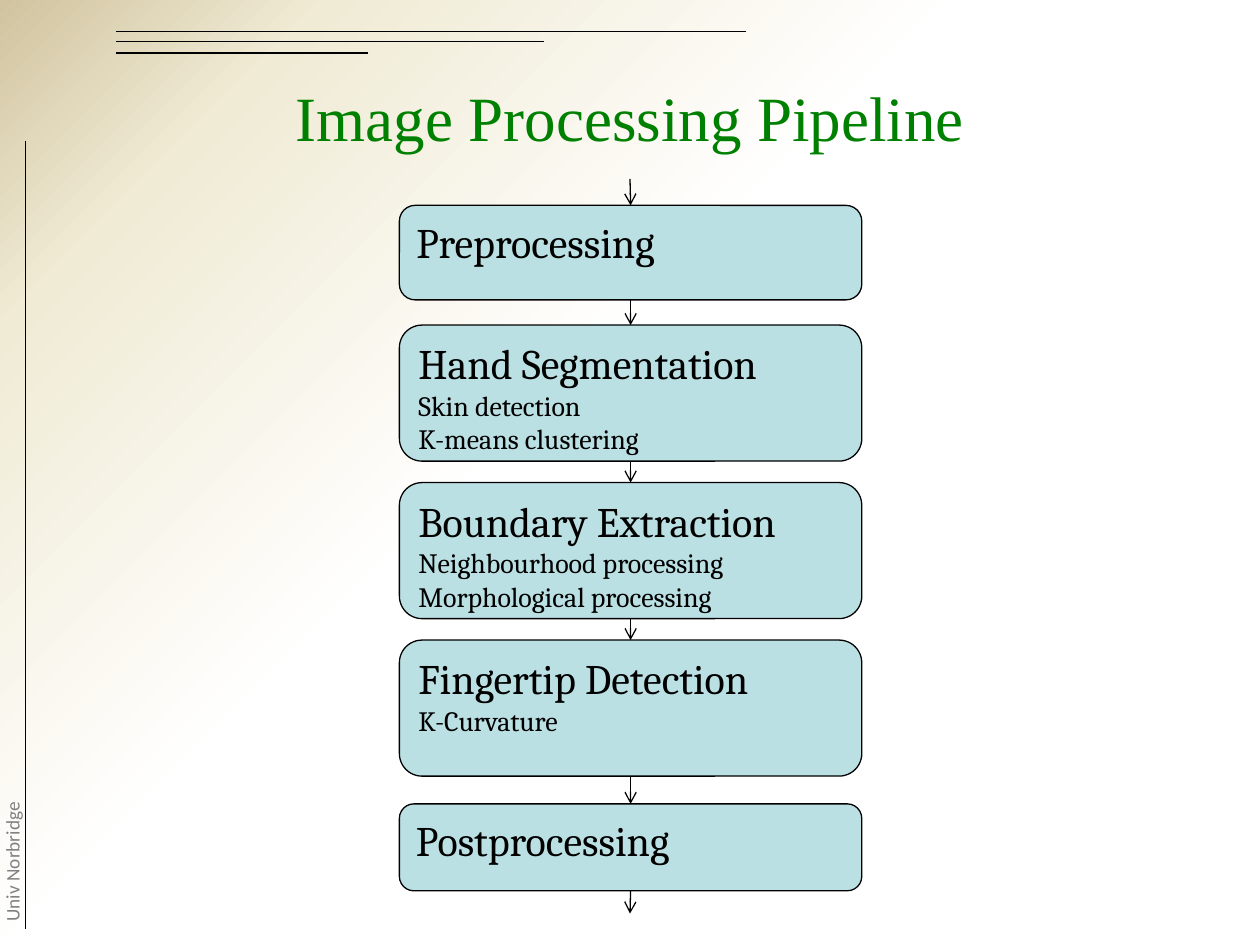
from lxml import etree
from pptx import Presentation
from pptx.dml.color import RGBColor
from pptx.enum.shapes import MSO_CONNECTOR, MSO_SHAPE
from pptx.enum.text import MSO_ANCHOR, PP_ALIGN
from pptx.oxml import parse_xml
from pptx.oxml.ns import nsdecls, qn
from pptx.util import Inches, Pt

STRAIGHT = MSO_CONNECTOR.STRAIGHT
ROUNDED = MSO_SHAPE.ROUNDED_RECTANGLE
TOP, MIDDLE = MSO_ANCHOR.TOP, MSO_ANCHOR.MIDDLE
LEFT, CENTER = PP_ALIGN.LEFT, PP_ALIGN.CENTER
TOP_SITE, BOTTOM_SITE = 0, 2

COLORS = {"black": "000000", "title": "008000", "box": "BBE0E3", "affiliation": "808080"}
BACKGROUND_STOPS = [(56, "FFFFFF"), (85, "F0EBD5"), (100, "D1C39F")]

TITLE = "Image Processing Pipeline"
AFFILIATION = "Univ Norbridge"
# top, height, heading, details
STAGES = [
    (1.63, 0.75, "Preprocessing", []),
    (2.58, 1.08, "Hand Segmentation", ["Skin detection", "K-means clustering"]),
    (3.83, 1.08, "Boundary Extraction", ["Neighbourhood processing", "Morphological processing"]),
    (5.08, 1.08, "Fingertip Detection", ["K-Curvature"]),
    (6.38, 0.69, "Postprocessing", []),
]
BOX_LEFT, BOX_WIDTH = 3.17, 3.67
CENTER_X = 5
FLOW_START, FLOW_END = 1.42, 7.25
# x1, y1, x2, y2
RULES = [
    (0.2, 1.12, 0.2, 7.37),
    (0.92, 0.25, 5.92, 0.25),
    (0.92, 0.33, 4.32, 0.33),
    (0.92, 0.42, 2.92, 0.42),
]


def rgb(name):
    return RGBColor.from_string(COLORS[name])


def set_background(s):
    """Fill the slide with a circular gradient centred on its bottom right corner."""
    s.background.fill.solid()
    solid = s.background._cSld.find(".//" + qn("a:solidFill"))
    stops = "".join(
        f'<a:gs pos="{pos * 1000}"><a:srgbClr val="{color}"/></a:gs>'
        for pos, color in BACKGROUND_STOPS
    )
    gradient = parse_xml(
        f'<a:gradFill {nsdecls("a")} rotWithShape="1"><a:gsLst>{stops}</a:gsLst>'
        '<a:path path="circle"><a:fillToRect l="100000" t="100000"/></a:path></a:gradFill>'
    )
    solid.getparent().replace(solid, gradient)


def format_paragraph(p, text, size, font, color, align):
    p.text = text
    p.alignment = align
    p.font.size = Pt(size)
    p.font.name = font
    p.font.color.rgb = rgb(color)


def add_line(s, x1, y1, x2, y2, arrow=False):
    line = s.shapes.add_connector(STRAIGHT, *map(Inches, (x1, y1, x2, y2)))
    line.line.color.rgb = rgb("black")
    line.line.width = Pt(0.75)
    if arrow:
        etree.SubElement(line.line._get_or_add_ln(), qn("a:tailEnd"), type="arrow")
    etree.SubElement(line._element.spPr, qn("a:effectLst"))
    return line


def add_affiliation(s):
    box = s.shapes.add_textbox(Inches(-0.55), Inches(6.71), Inches(1.33), Inches(0.26))
    box.rotation = 270
    tf = box.text_frame
    tf.word_wrap = True
    p = tf.paragraphs[0]
    format_paragraph(p, AFFILIATION, 11, "Calibri", "affiliation", CENTER)
    p.line_spacing = 0.83


def add_title(s):
    title = s.shapes.title
    title.left, title.top = Inches(0.75), Inches(0.42)
    title.width, title.height = Inches(8.5), Inches(1)
    title.text_frame.vertical_anchor = MIDDLE
    format_paragraph(title.text_frame.paragraphs[0], TITLE, 36, "Times New Roman", "title", CENTER)


def add_stage(s, top, height, heading, details):
    box = s.shapes.add_shape(ROUNDED, *map(Inches, (BOX_LEFT, top, BOX_WIDTH, height)))
    box.shadow.inherit = False
    box.fill.solid()
    box.fill.fore_color.rgb = rgb("box")
    box.line.color.rgb = rgb("black")
    box.line.width = Pt(0.75)
    tf = box.text_frame
    tf.vertical_anchor = TOP
    format_paragraph(tf.paragraphs[0], heading, 24, "Cambria", "black", LEFT)
    for detail in details:
        format_paragraph(tf.add_paragraph(), detail, 16, "Cambria", "black", LEFT)
    return box


def add_flow(s, boxes):
    """Draw an arrow into the first box, between neighbours and out of the last."""
    tops = [top for top, *_ in STAGES] + [FLOW_END]
    bottoms = [FLOW_START] + [top + height for top, height, *_ in STAGES]
    sources, targets = [None] + boxes, boxes + [None]
    for y1, y2, source, target in zip(bottoms, tops, sources, targets):
        arrow = add_line(s, CENTER_X, y1, CENTER_X, y2, arrow=True)
        if source:
            arrow.begin_connect(source, BOTTOM_SITE)
        if target:
            arrow.end_connect(target, TOP_SITE)


def main():
    prs = Presentation()
    prs.slide_width, prs.slide_height = Inches(10), Inches(7.5)
    s = prs.slides.add_slide(prs.slide_layouts[5])
    set_background(s)
    for rule in RULES:
        add_line(s, *rule)
    add_affiliation(s)
    add_title(s)
    boxes = [add_stage(s, *stage) for stage in STAGES]
    add_flow(s, boxes)
    prs.save("out.pptx")


if __name__ == "__main__":
    main()
